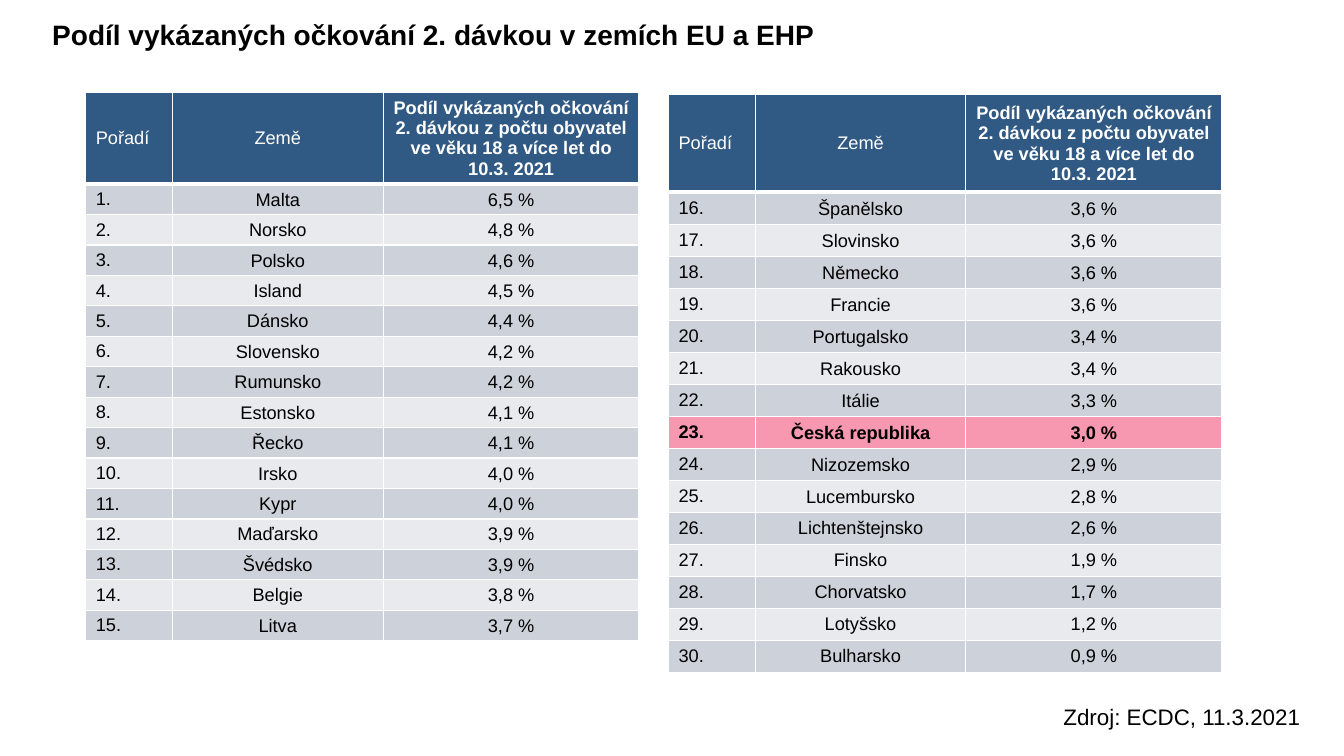
from lxml import etree
from pptx import Presentation
from pptx import util as u
from pptx.dml.color import RGBColor
from pptx.enum import text
from pptx.oxml import ns

NAVY = RGBColor(0x30, 0x59, 0x83)
DARK = RGBColor(0xCD, 0xD1, 0xD9)
PALE = RGBColor(0xE8, 0xEA, 0xED)
PINK = RGBColor(0xF7, 0x97, 0xB0)
WHITE = RGBColor(0xFF, 0xFF, 0xFF)
BLACK = RGBColor(0, 0, 0)

HEAD = ("Pořadí", "Země", "Podíl vykázaných očkování 2. dávkou z počtu obyvatel "
        "ve věku 18 a více let do 10.3. 2021")
HOME = "Česká republika"
RANKS = [
    ("Malta", "6,5"), ("Norsko", "4,8"), ("Polsko", "4,6"), ("Island", "4,5"),
    ("Dánsko", "4,4"), ("Slovensko", "4,2"), ("Rumunsko", "4,2"),
    ("Estonsko", "4,1"), ("Řecko", "4,1"), ("Irsko", "4,0"), ("Kypr", "4,0"),
    ("Maďarsko", "3,9"), ("Švédsko", "3,9"), ("Belgie", "3,8"), ("Litva", "3,7"),
    ("Španělsko", "3,6"), ("Slovinsko", "3,6"), ("Německo", "3,6"),
    ("Francie", "3,6"), ("Portugalsko", "3,4"), ("Rakousko", "3,4"),
    ("Itálie", "3,3"), (HOME, "3,0"), ("Nizozemsko", "2,9"),
    ("Lucembursko", "2,8"), ("Lichtenštejnsko", "2,6"), ("Finsko", "1,9"),
    ("Chorvatsko", "1,7"), ("Lotyšsko", "1,2"), ("Bulharsko", "0,9"),
]
HALF = len(RANKS) // 2


class Deck:
    """Places elements on a grid of 100 columns by 100 rows."""
    face = "Arial"
    small = 13
    cols = (6.45, 15.68, 19.05)
    head, row, tall = 9.6, 3.33, 76.27

    def __init__(self):
        self.prs = Presentation()
        self.prs.slide_width = u.Inches(13.33)
        self.prs.slide_height = u.Inches(7.5)
        self.slide = self.prs.slides.add_slide(self.prs.slide_layouts[6])

    def x(self, n):
        return round(self.prs.slide_width * n / 100)

    def y(self, n):
        return round(self.prs.slide_height * n / 100)

    def style(self, para, size, color, bold):
        for run in para.runs:
            font = run.font
            font.name, font.size, font.bold = self.face, u.Pt(size), bold
            font.color.rgb = color

    def label(self, words, left, top, wide, high, size, bold=False):
        box = self.slide.shapes.add_textbox(
            self.x(left), self.y(top), self.x(wide), self.y(high))
        frame = box.text_frame
        frame.word_wrap = True
        frame.text = words
        self.style(frame.paragraphs[0], size, BLACK, bold)
        return frame

    def edge(self, cell, base):
        """Draws white cell borders, the lower one with the width base."""
        props = cell._tc.get_or_add_tcPr()
        for side, wide in (("L", 1), ("R", 1), ("T", 1), ("B", base)):
            line = etree.SubElement(props, ns.qn("a:ln" + side), w=str(u.Pt(wide)))
            fill = etree.SubElement(line, ns.qn("a:solidFill"))
            etree.SubElement(fill, ns.qn("a:srgbClr"), val=str(WHITE))

    def cell(self, cell, words, fill, color, bold, mid, base=1):
        self.edge(cell, base)
        cell.fill.solid()
        cell.fill.fore_color.rgb = fill
        cell.vertical_anchor = text.MSO_ANCHOR.MIDDLE
        cell.text_frame.text = words
        para = cell.text_frame.paragraphs[0]
        if mid:
            para.alignment = text.PP_ALIGN.CENTER
        self.style(para, self.small, color, bold)

    def table(self, left, top, first):
        """Lists half of the countries, starting with the rank first."""
        shape = self.slide.shapes.add_table(
            HALF + 1, len(HEAD), self.x(left), self.y(top),
            self.x(sum(self.cols)), self.y(self.tall))
        grid = shape.table
        for col, wide in zip(grid.columns, self.cols):
            col.width = self.x(wide)
        for i, row in enumerate(grid.rows):
            row.height = self.y(self.row if i else self.head)
        shape.height = self.y(self.tall)

        for j, words in enumerate(HEAD):
            self.cell(grid.cell(0, j), words, NAVY, WHITE, j == 2, j > 0, 3)
        for i, (land, share) in enumerate(RANKS[first - 1:first - 1 + HALF], 1):
            home = land == HOME
            fill = PINK if home else DARK if i % 2 else PALE
            for j, words in enumerate((f"{first + i - 1}.", land, f"{share} %")):
                cell = grid.cell(i, j)
                self.cell(cell, words, fill, BLACK, home, j > 0)
                if j:
                    cell.margin_left = cell.margin_right = u.Inches(0.01)
                    cell.margin_top, cell.margin_bottom = u.Inches(0.01), 0


def main():
    deck = Deck()
    deck.table(6.38, 12.27, 1)
    title = deck.label("Podíl vykázaných očkování 2. dávkou v zemích EU a EHP",
                       3.15, 0, 61.22, 9.73, 20, True)
    title.vertical_anchor = text.MSO_ANCHOR.MIDDLE
    title.paragraphs[0].line_spacing = 0.9
    deck.table(49.74, 12.53, HALF + 1)
    deck.label("Zdroj: ECDC, 11.3.2021", 78.39, 92.4, 23.48, 4.93, 16)
    deck.prs.save("out.pptx")


if __name__ == "__main__":
    main()
